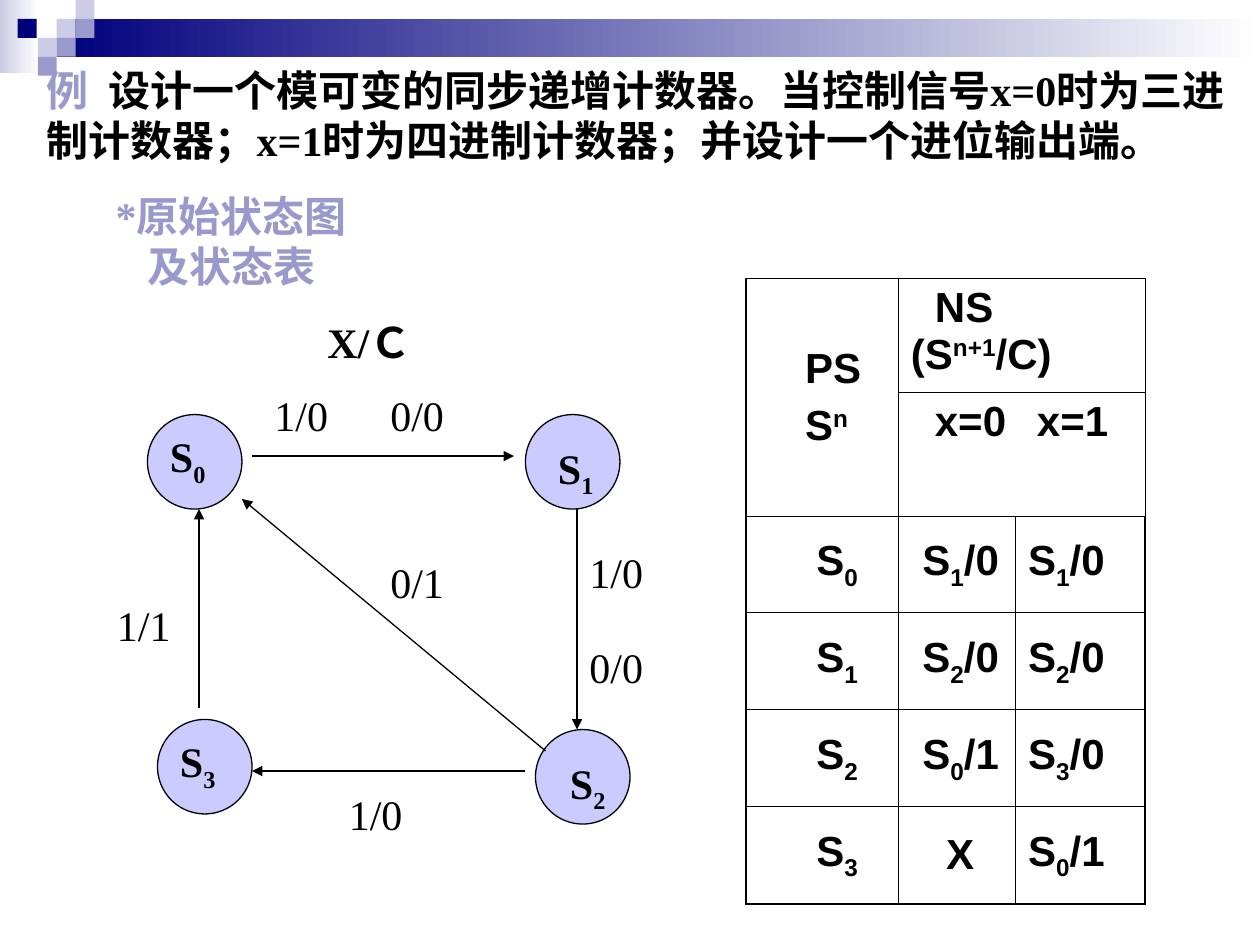
from dataclasses import dataclass

from lxml import etree
from pptx import Presentation
from pptx.dml.color import RGBColor
from pptx.enum import shapes, text
from pptx.oxml.ns import qn
from pptx.util import Inches, Pt

BLACK = RGBColor(0x00, 0x00, 0x00)
WHITE = RGBColor(0xFF, 0xFF, 0xFF)
NAVY = RGBColor(0x00, 0x00, 0x7D)
LAVENDER = RGBColor(0x99, 0x99, 0xCC)
PALE = RGBColor(0xCC, 0xCC, 0xE6)
STATE_FILL = RGBColor(0x99, 0x99, 0xFF)
SERIF, SANS, CJK = "Times New Roman", "Arial", "Noto Sans CJK SC"
SUB, SUPER = -25, 30


@dataclass
class Part:
    """A stretch of text with one format."""
    words: str
    baseline: int = 0
    font: str = SERIF
    color: RGBColor = BLACK
    bold: bool = True


@dataclass
class State:
    number: int
    left: float
    top: float
    label_left: float
    label_top: float
    label_width: float = 0.58
    align: text.PP_ALIGN = text.PP_ALIGN.LEFT


@dataclass
class Transition:
    start: tuple[float, float]
    end: tuple[float, float]


@dataclass
class Condition:
    """Input/output label beside a transition."""
    words: str
    left: float
    top: float


def add_parts(paragraph, parts: list[Part]) -> None:
    for part in parts:
        run = paragraph.add_run()
        run.text = part.words
        run.font.size, run.font.bold = Pt(24), part.bold
        run.font.name, run.font.color.rgb = part.font, part.color
        props = run._r.get_or_add_rPr()
        etree.SubElement(props, qn("a:ea")).set("typeface", CJK)
        if part.baseline:
            props.set("baseline", str(part.baseline * 1000))


def set_tab(paragraph, position: float) -> None:
    tabs = etree.SubElement(paragraph._p.get_or_add_pPr(), qn("a:tabLst"))
    etree.SubElement(tabs, qn("a:tab"), pos=str(Inches(position)), algn="l")


def add_label(slide, left: float, top: float, width: float, height: float,
              parts: list[Part], align=text.PP_ALIGN.LEFT) -> None:
    box = slide.shapes.add_textbox(Inches(left), Inches(top), Inches(width), Inches(height))
    box.text_frame.word_wrap = True
    paragraph = box.text_frame.paragraphs[0]
    paragraph.alignment = align
    add_parts(paragraph, parts)


def add_block(slide, left: float, top: float, width: float, height: float,
              color: RGBColor, fade: bool = False) -> None:
    block = slide.shapes.add_shape(shapes.MSO_SHAPE.RECTANGLE, Inches(left), Inches(top),
                                   Inches(width), Inches(height))
    block.shadow.inherit = False
    block.line.fill.background()
    if fade:
        block.fill.gradient()
        block.fill.gradient_angle = 0
        for stop, shade in zip(block.fill.gradient_stops, (color, WHITE)):
            stop.color.rgb = shade
    else:
        block.fill.solid()
        block.fill.fore_color.rgb = color


def add_state(slide, state: State) -> None:
    circle = slide.shapes.add_shape(shapes.MSO_SHAPE.OVAL, Inches(state.left), Inches(state.top),
                                    Inches(0.75), Inches(0.75))
    circle.shadow.inherit = False
    circle.fill.solid()
    circle.fill.fore_color.rgb = STATE_FILL
    shade = circle._element.spPr.find(qn("a:solidFill"))[0]
    etree.SubElement(shade, qn("a:alpha")).set("val", "50000")
    circle.line.color.rgb, circle.line.width = BLACK, Pt(0.75)
    add_label(slide, state.label_left, state.label_top, state.label_width, 0.56,
              [Part("S"), Part(str(state.number), SUB)], state.align)


def add_transition(slide, transition: Transition) -> None:
    arrow = slide.shapes.add_connector(shapes.MSO_CONNECTOR.STRAIGHT,
                                       *map(Inches, transition.start + transition.end))
    arrow.line.color.rgb, arrow.line.width = BLACK, Pt(0.75)
    etree.SubElement(arrow.line._get_or_add_ln(), qn("a:tailEnd"), type="triangle")
    etree.SubElement(arrow._element.spPr, qn("a:effectLst"))


def set_borders(cell, outer_sides: dict[str, bool]) -> None:
    """Thick lines on the outer sides, thin ones inside."""
    props = cell._tc.get_or_add_tcPr()
    for position, (side, outer) in enumerate(outer_sides.items()):
        border = etree.Element(qn(f"a:ln{side}"), w=str(Pt(1.08 if outer else 0.45)))
        fill = etree.SubElement(border, qn("a:solidFill"))
        etree.SubElement(fill, qn("a:srgbClr"), val=str(BLACK))
        props.insert(position, border)


def fill_cell(cell, parts: list[Part], indent: float = 0, middle: bool = True):
    cell.vertical_anchor = text.MSO_ANCHOR.MIDDLE if middle else text.MSO_ANCHOR.TOP
    paragraph = cell.text_frame.paragraphs[0]
    paragraph._p.get_or_add_pPr().set("indent", str(Inches(indent)))
    add_parts(paragraph, parts)
    return paragraph


def sans(words: str, baseline: int = 0) -> Part:
    return Part(words, baseline, SANS)


def add_state_table(slide) -> None:
    widths, heights = (1.21, 0.93, 1.03), (0.9, 0.98) + (0.77,) * 4
    frame = slide.shapes.add_table(len(heights), len(widths), Inches(5.92), Inches(2.21),
                                   Inches(sum(widths)), Inches(sum(heights)))
    table = frame.table
    table.first_row = table.horz_banding = False
    for column, width in zip(table.columns, widths):
        column.width = Inches(width)
    for row, height in zip(table.rows, heights):
        row.height = Inches(height)
    for r in range(len(heights)):
        for c in range(len(widths)):
            cell = table.cell(r, c)
            cell.fill.background()
            set_borders(cell, {"L": c == 0, "R": c == len(widths) - 1,
                               "T": r == 0, "B": r == len(heights) - 1})
    table.cell(0, 0).merge(table.cell(1, 0))
    for r in (0, 1):
        table.cell(r, 1).merge(table.cell(r, 2))

    present = table.cell(0, 0)
    fill_cell(present, [sans("PS")], 0.37)
    symbol = present.text_frame.add_paragraph()
    symbol.space_before = Pt(6)
    symbol._p.get_or_add_pPr().set("indent", str(Inches(0.37)))
    add_parts(symbol, [sans("S"), sans("n", SUPER)])
    fill_cell(table.cell(0, 1), [sans("NS (S"), sans("n+1", SUPER), sans("/C)")], 0.19, False)
    inputs = fill_cell(table.cell(1, 1), [sans("x=0\tx=1")], 0.19, False)
    set_tab(inputs, 1.11)

    next_states = [("1/0", "1/0"), ("2/0", "2/0"), ("0/1", "3/0"), (None, "0/1")]
    for number, row in enumerate(next_states):
        fill_cell(table.cell(number + 2, 0), [sans("S"), sans(str(number), SUB)], 0.46)
        for c, (entry, indent) in enumerate(zip(row, (0.09, 0)), start=1):
            cell = table.cell(number + 2, c)
            if entry:
                fill_cell(cell, [sans("S"), sans(entry[0], SUB), sans(entry[1:])], indent)
            else:
                fill_cell(cell, [sans("X")], 0.28)


def add_problem(slide) -> None:
    title = slide.shapes.title
    slide.shapes._spTree.append(title._element)  # in front of the header blocks
    title.left, title.top, title.width, title.height = map(Inches, (0.27, 0.46, 9.73, 0.9))
    frame = title.text_frame
    frame.word_wrap, frame.auto_size = True, text.MSO_AUTO_SIZE.NONE
    frame.vertical_anchor = text.MSO_ANCHOR.TOP
    paragraph = frame.paragraphs[0]
    paragraph.alignment = text.PP_ALIGN.LEFT
    set_tab(paragraph, 0.49)
    add_parts(paragraph, [
        Part("例", font=CJK, color=LAVENDER),
        Part("\t设计一个模可变的同步递增计数器。当控制信号x=0时为三进制计数器；"
             "x=1时为四进制计数器；并设计一个进位输出端。")])


HEADER_SQUARES = [(0.45, 0.15, PALE), (0.6, 0, PALE), (0.6, 0.15, LAVENDER), (0.3, 0.3, PALE),
                  (0.14, 0.15, NAVY), (0.45, 0.3, LAVENDER), (0.3, 0.45, LAVENDER)]
STATES = [State(0, 1.17, 3.29, 1.25, 3.37), State(1, 4.17, 3.29, 4.33, 3.46),
          State(2, 4.25, 5.79, 4.25, 5.96, 0.83, text.PP_ALIGN.CENTER),
          State(3, 1.25, 5.71, 1.33, 5.79)]
TRANSITIONS = [Transition((2, 3.62), (4.08, 3.62)), Transition((4.58, 4.04), (4.58, 5.79)),
               Transition((4.17, 6.12), (2, 6.12)), Transition((4.33, 5.96), (1.92, 3.96)),
               Transition((1.58, 5.62), (1.58, 4.04))]
CONDITIONS = [Condition("1/0", 2.08, 3.04), Condition("0/0", 3, 3.04),
              Condition("1/0", 4.58, 4.29), Condition("0/0", 4.58, 5.04),
              Condition("1/0", 2.67, 6.21), Condition("0/1", 3, 4.37),
              Condition("1/1", 0.83, 4.71)]


def main() -> None:
    deck = Presentation()
    deck.slide_width, deck.slide_height = Inches(10), Inches(7.5)
    slide = deck.slides.add_slide(deck.slide_layouts[5])
    add_block(slide, 0, 0, 0.31, 0.58, PALE, fade=True)
    add_block(slide, 0.45, 0.15, 9.55, 0.3, NAVY, fade=True)
    for left, top, color in HEADER_SQUARES:
        add_block(slide, left, top, 0.15, 0.15, color)
    add_problem(slide)
    for state in STATES:
        add_state(slide, state)
    for transition in TRANSITIONS:
        add_transition(slide, transition)
    for condition in CONDITIONS:
        add_label(slide, condition.left, condition.top, 0.67, 0.5,
                  [Part(condition.words, bold=False)])
    add_label(slide, 2.5, 2.46, 0.92, 0.9, [Part("X/Ｃ")])
    add_label(slide, 0.67, 1.46, 2.33, 0.9, [Part("*原始状态图及状态表", color=LAVENDER)],
              text.PP_ALIGN.CENTER)
    add_state_table(slide)
    deck.save("out.pptx")


if __name__ == "__main__":
    main()
